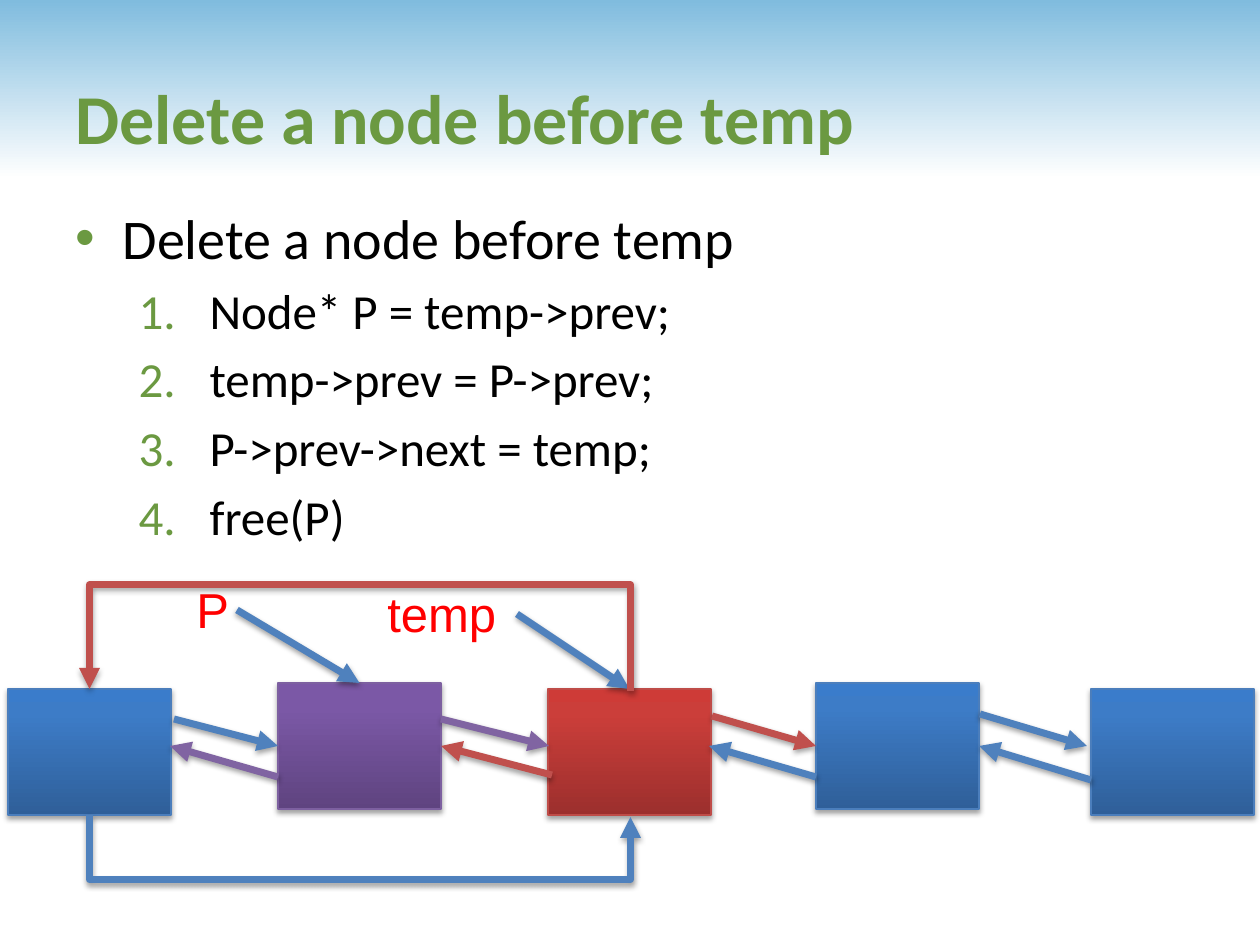
from lxml.etree import SubElement
from pptx import Presentation
from pptx.dml.color import RGBColor
from pptx.enum.shapes import MSO_CONNECTOR as LINE, MSO_SHAPE as SHAPE
from pptx.enum.text import MSO_ANCHOR, PP_ALIGN
from pptx.oxml.ns import qn
from pptx.util import Emu, Pt

TITLE = "Delete a node before temp"
GOAL = "Delete a node before temp"
STEPS = ["Node* P = temp->prev;", "temp->prev = P->prev;",
         "P->prev->next = temp;", "free(P)"]

GREEN = RGBColor(0x6B, 0x99, 0x41)
BLACK = RGBColor(0, 0, 0)
LABEL_RED = RGBColor(0xFF, 0, 0)
BLUE = RGBColor(0x4F, 0x81, 0xBD)
RED = RGBColor(0xC0, 0x50, 0x4D)
PURPLE = RGBColor(0x80, 0x64, 0xA2)
BAND_STOPS = [(0, RGBColor(0x80, 0xBC, 0xDE)), (100, RGBColor(0xFF, 0xFF, 0xFF))]
BLUE_NODE = (RGBColor(0x4B, 0x7E, 0xBC), [(0, RGBColor(0x2F, 0x5F, 0x99)),
             (80, RGBColor(0x3D, 0x7C, 0xC7)), (100, RGBColor(0x3A, 0x7C, 0xCB))])
RED_NODE = (RGBColor(0xBF, 0x4C, 0x48), [(0, RGBColor(0x9C, 0x2F, 0x2D)),
            (80, RGBColor(0xCB, 0x3E, 0x3A)), (100, RGBColor(0xCE, 0x3B, 0x37))])
PURPLE_NODE = (RGBColor(0x7D, 0x60, 0xA0), [(0, RGBColor(0x5F, 0x44, 0x80)),
               (80, RGBColor(0x7B, 0x58, 0xA6)), (100, RGBColor(0x7C, 0x57, 0xA8))])

NODE_W, NODE_H = 163, 126
TOP, LEFT, BOTTOM, RIGHT = range(4)
NODES = [(8, 689, BLUE_NODE), (278, 683, PURPLE_NODE), (548, 689, RED_NODE),
         (816, 683, BLUE_NODE), (1091, 689, BLUE_NODE)]
ARROWS = [
    ((1091, 780), (980, 746), BLUE, (3, RIGHT)),
    ((980, 714), (1087, 746), BLUE, None),
    ((552, 775), (441, 746), RED, (1, RIGHT)),
    ((816, 777), (709, 746), BLUE, None),
    ((712, 716), (816, 746), RED, (3, LEFT)),
    ((278, 777), (170, 746), PURPLE, None),
    ((441, 719), (549, 746), PURPLE, None),
    ((174, 719), (278, 746), BLUE, (1, LEFT)),
    ((517, 614), (630, 689), BLUE, (2, TOP)),
    ((237, 610), (359, 683), BLUE, (1, TOP)),
]
LABELS = [("temp", 375, 577, 141), ("P", 184, 573, 52)]
BYPASSES = [(690, 107, "flipV", RED), (816, 65, "flipH", BLUE)]
BYPASS_CENTER, BYPASS_SPAN, BYPASS_STEP = 360, 541, 2


def px(value):
    return Emu(round(value * 914400 / 126))


def place(part, left, top, width, height):
    part.left, part.top, part.width, part.height = map(px, (left, top, width, height))


def add_color(parent, color):
    return SubElement(parent, qn("a:srgbClr"), val=str(color))


def paint_gradient(shape, stops, angle):
    shape.fill.gradient()
    shape.fill.gradient_angle = 0
    gradient = shape._element.spPr.find(qn("a:gradFill"))
    stop_list = gradient.find(qn("a:gsLst"))
    for old in list(stop_list):
        stop_list.remove(old)
    for percent, color in stops:
        add_color(SubElement(stop_list, qn("a:gs"), pos=str(percent * 1000)), color)
    gradient.find(qn("a:lin")).set("ang", str(angle * 60000))


def add_shadow(part):
    effects = SubElement(part._element.spPr, qn("a:effectLst"))
    shadow = SubElement(effects, qn("a:outerShdw"), blurRad="40000", dist="22000",
                        dir="5400000", rotWithShape="0")
    SubElement(add_color(shadow, BLACK), qn("a:alpha"), val="36000")


def style_arrow(connector, color):
    connector.line.color.rgb = color
    connector.line.width = Pt(4)
    SubElement(connector.line._get_or_add_ln(), qn("a:tailEnd"), type="triangle")
    add_shadow(connector)


def set_font(paragraph, name, size, color):
    font = paragraph.font
    font.name, font.size, font.color.rgb = name, Pt(size), color


def add_item(paragraph, text, size, level, margin, hanging, bullet, **kind):
    paragraph.text = text
    paragraph.level = level
    if level:
        paragraph.space_before = Pt(size * 0.2)
    else:
        paragraph.space_before = Pt(0)
    props = paragraph._p.get_or_add_pPr()
    props.set("marL", str(px(margin)))
    props.set("indent", str(-px(hanging)))
    add_color(SubElement(props, qn("a:buClr")), GREEN)
    SubElement(props, qn(bullet), **kind)
    set_font(paragraph, "Calibri", size, BLACK)


def add_bypass(shapes, center_y, reach, flip, color):
    connector = shapes.add_connector(LINE.ELBOW, 0, 0, 0, 0)
    place(connector, BYPASS_CENTER - BYPASS_STEP / 2, center_y - BYPASS_SPAN / 2,
          BYPASS_STEP, BYPASS_SPAN)
    props = connector._element.spPr
    frame = props.find(qn("a:xfrm"))
    frame.set("rot", str(270 * 60000))
    frame.set(flip, "1")
    adjusts = props.find(qn("a:prstGeom")).find(qn("a:avLst"))
    SubElement(adjusts, qn("a:gd"), name="adj1",
               fmla=f"val {reach * 100000 // BYPASS_STEP}")
    style_arrow(connector, color)


def main():
    deck = Presentation()
    deck.slide_width, deck.slide_height = px(1260), px(945)
    slide = deck.slides.add_slide(deck.slide_layouts[1])
    shapes = slide.shapes

    band = shapes.add_shape(SHAPE.RECTANGLE, 0, 0, px(1260), px(179))
    paint_gradient(band, BAND_STOPS, 90)
    band.line.fill.background()
    band.shadow.inherit = False
    shapes._spTree.insert(2, band._element)

    title = shapes.title
    place(title, 63, 38, 1134, 157)
    title.text = TITLE
    title.text_frame.vertical_anchor = MSO_ANCHOR.MIDDLE
    heading = title.text_frame.paragraphs[0]
    heading.alignment = PP_ALIGN.LEFT
    set_font(heading, "Calibri", 40, GREEN)
    heading.font.bold = True

    body = slide.placeholders[1]
    place(body, 63, 197, 1144, 567)
    frame = body.text_frame
    add_item(frame.paragraphs[0], GOAL, 32, 0, 47, 47, "a:buChar", char="•")
    for step in STEPS:
        add_item(frame.add_paragraph(), step, 28, 1, 134, 71,
                 "a:buAutoNum", type="arabicPeriod")

    nodes = []
    for left, top, (edge, stops) in NODES:
        node = shapes.add_shape(SHAPE.RECTANGLE, px(left), px(top), px(NODE_W), px(NODE_H))
        paint_gradient(node, stops, 270)
        node.line.color.rgb = edge
        node.line.width = Pt(0.75)
        add_shadow(node)
        nodes.append(node)

    for start, end, color, joint in ARROWS:
        arrow = shapes.add_connector(LINE.STRAIGHT, *map(px, start + end))
        if joint:
            target, side = joint
            arrow.end_connect(nodes[target], side)
        style_arrow(arrow, color)

    for text, left, top, width in LABELS:
        label = shapes.add_textbox(px(left), px(top), px(width), px(72))
        label.text_frame.word_wrap = True
        pointer = label.text_frame.paragraphs[0]
        pointer.text = text
        set_font(pointer, "Arial", 28, LABEL_RED)

    for bypass in BYPASSES:
        add_bypass(shapes, *bypass)

    deck.save("out.pptx")


if __name__ == "__main__":
    main()
